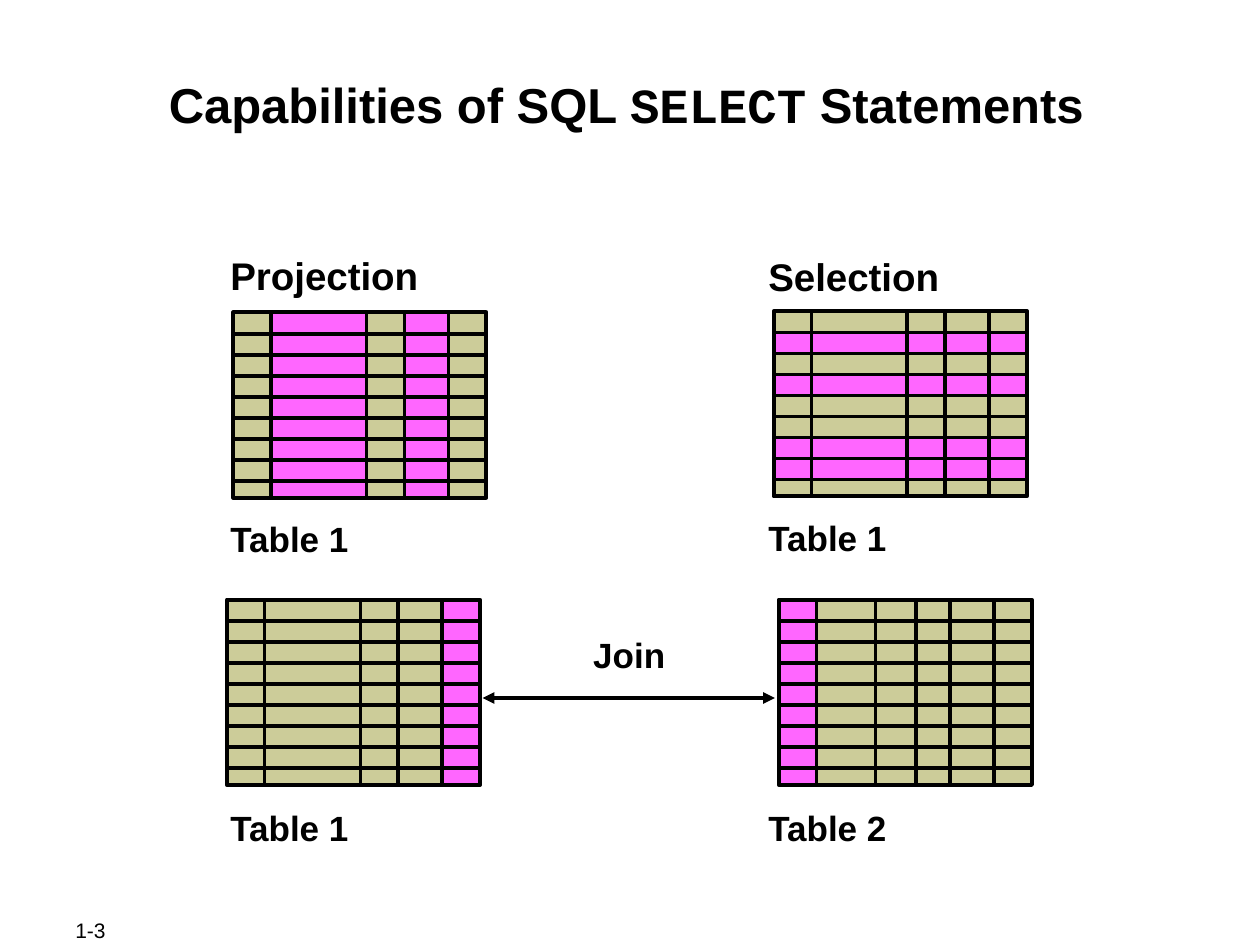
from pptx import Presentation
from pptx.dml.color import RGBColor
from pptx.enum.shapes import MSO_CONNECTOR, MSO_SHAPE
from pptx.enum.text import MSO_ANCHOR, MSO_AUTO_SIZE, PP_ALIGN
from pptx.oxml.ns import qn
from pptx.util import Inches, Pt
from lxml import etree

RECT = MSO_SHAPE.RECTANGLE
STRAIGHT = MSO_CONNECTOR.STRAIGHT
LEFT, CENTER, JUSTIFY = PP_ALIGN.LEFT, PP_ALIGN.CENTER, PP_ALIGN.JUSTIFY
TOP, MIDDLE = MSO_ANCHOR.TOP, MSO_ANCHOR.MIDDLE
FIT_SHAPE, NO_FIT = MSO_AUTO_SIZE.SHAPE_TO_FIT_TEXT, MSO_AUTO_SIZE.NONE


def rgb(value):
    return RGBColor.from_string(value)


class Deck:
    font, mono = "Arial", "Courier New"
    ink, base, mark = "000000", "CCCC99", "FF66FF"
    grid_w, grid_h = 2.01, 1.47
    rows, pitch = 9, 1 / 6

    def __init__(self, prs):
        self.s = prs.slides.add_slide(prs.slide_layouts[6])

    def text(self, box, runs, size, bold=True, align=LEFT, anchor=TOP,
             inset=(0.1, 0.05), before=0, wrap=False, fit=FIT_SHAPE):
        tf = self.s.shapes.add_textbox(*map(Inches, box)).text_frame
        tf.word_wrap = wrap
        tf.auto_size = fit
        tf.vertical_anchor = anchor
        tf.margin_left = tf.margin_right = Inches(inset[0])
        tf.margin_top = tf.margin_bottom = Inches(inset[1])
        p = tf.paragraphs[0]
        p.alignment = align
        p.space_before = Pt(before)
        for content, font in runs:
            r = p.add_run()
            r.text = content
            r.font.name = font
            r.font.size = Pt(size)
            r.font.bold = bold
            r.font.color.rgb = rgb(self.ink)

    def label(self, x, y, w, content, size=20, h=0.43):
        self.text((x, y, w, h), [(content, self.font)], size)

    def rect(self, x, y, w, h, fill=None, outlined=False):
        sp = self.s.shapes.add_shape(RECT, *map(Inches, (x, y, w, h)))
        sp.shadow.inherit = False
        if fill:
            sp.fill.solid()
            sp.fill.fore_color.rgb = rgb(fill)
        else:
            sp.fill.background()
        if outlined:
            sp.line.color.rgb = rgb(self.ink)
            sp.line.width = Pt(2.25)
        else:
            sp.line.fill.background()

    def line(self, x1, y1, x2, y2, width=2, arrows=False):
        c = self.s.shapes.add_connector(STRAIGHT, *map(Inches, (x1, y1, x2, y2)))
        c.line.color.rgb = rgb(self.ink)
        c.line.width = Pt(width)
        if arrows:
            ln = c.line._get_or_add_ln()
            for end in ("a:headEnd", "a:tailEnd"):
                etree.SubElement(ln, qn(end), type="triangle")
        etree.SubElement(c._element.spPr, qn("a:effectLst"))

    def grid(self, x, y, cols, mark_cols=(), mark_rows=()):
        w, h = self.grid_w, self.grid_h
        xs = [x, *(x + col for col in cols), x + w]
        ys = [y, *(y + 0.17 + self.pitch * i for i in range(self.rows - 1)), y + h]
        self.rect(x, y, w, h, self.base)
        for i in mark_cols:
            self.rect(xs[i], y + 0.01, xs[i + 1] - xs[i], h - 0.02, self.mark)
        for i, span in mark_rows:
            self.rect(x + 0.01, ys[i], w - 0.01, ys[i + span] - ys[i], self.mark)
        for row_y in ys[1:-1]:
            self.line(x, row_y, x + w + 0.01, row_y)
        for col_x in xs[1:-1]:
            self.line(col_x, y, col_x, y + h + 0.01)
        self.rect(x, y, w, h, outlined=True)


def main():
    prs = Presentation()
    prs.slide_width, prs.slide_height = Inches(10), Inches(7.5)
    d = Deck(prs)

    d.text((0.5, 7.28, 1.06, 0.2), [("1-3", d.font)], 12, bold=False,
           align=JUSTIFY, anchor=MIDDLE, fit=NO_FIT)
    title = [("Capabilities of SQL ", d.font), ("SELECT", d.mono),
             (" Statements", d.font)]
    d.text((0.97, 0.58, 8, 0.96), title, 28, align=CENTER,
           inset=(0.01, 0.01), before=7, wrap=True, fit=NO_FIT)

    table1 = (0.3, 1.06, 1.36, 1.71)
    table2 = (0.3, 0.77, 1.09, 1.36, 1.71)
    d.grid(1.85, 2.48, table1, mark_cols=(1, 3))
    d.grid(6.14, 2.47, table1, mark_rows=((1, 1), (3, 1), (6, 2)))
    d.grid(1.8, 4.76, table1, mark_cols=(4,))
    d.grid(6.18, 4.76, table2, mark_cols=(0,))

    d.label(1.73, 1.95, 1.69, "Projection", 22, 0.47)
    d.label(6, 1.96, 1.56, "Selection", 22, 0.47)
    d.label(1.73, 4.06, 1.16, "Table 1")
    d.label(6, 4.05, 1.16, "Table 1")
    d.label(1.73, 6.35, 1.16, "Table 1")
    d.label(6, 6.35, 1.16, "Table 2")
    d.label(4.61, 4.98, 0.77, "Join")
    d.line(3.83, 5.54, 6.15, 5.54, 2.25, arrows=True)

    prs.save("out.pptx")


if __name__ == "__main__":
    main()
